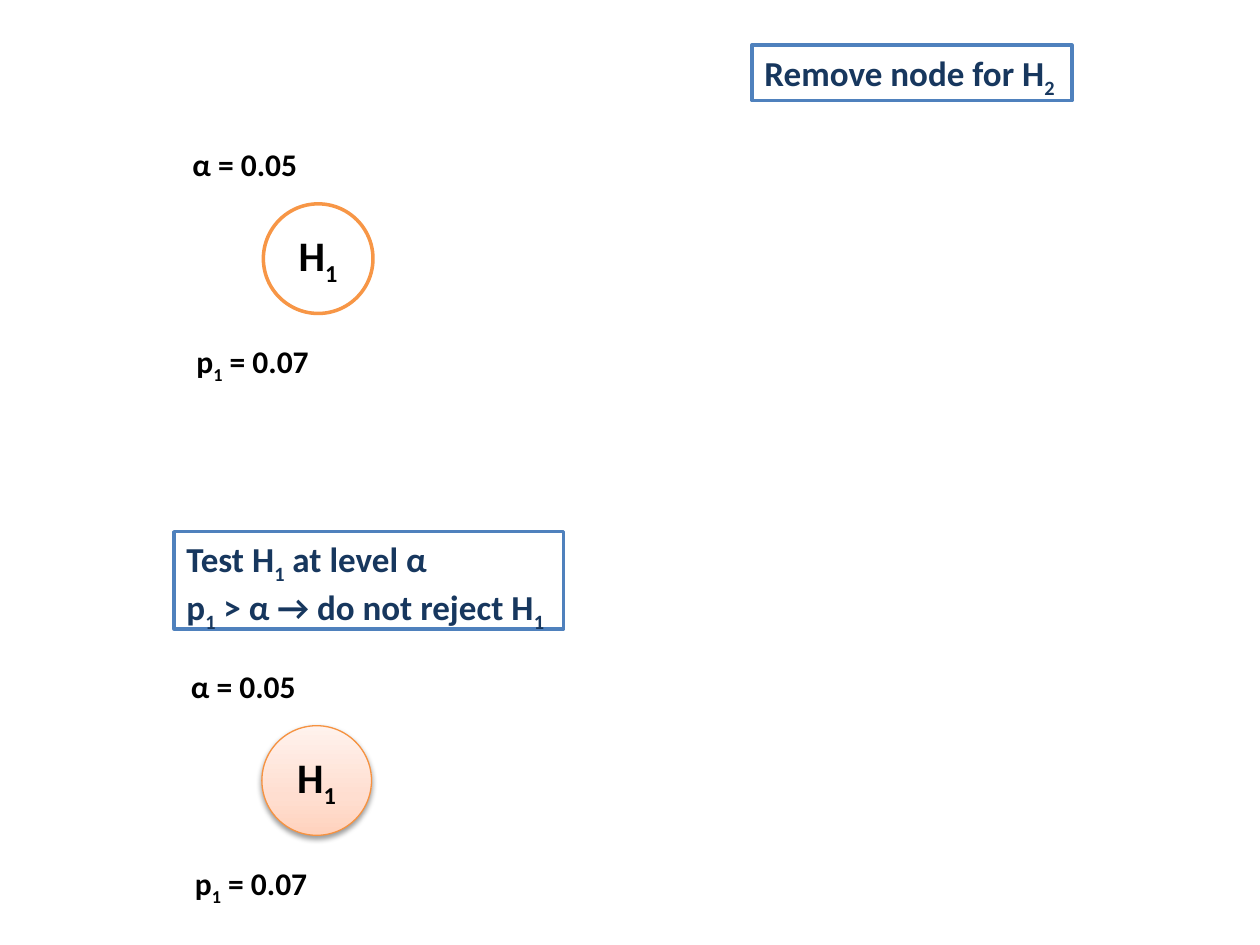
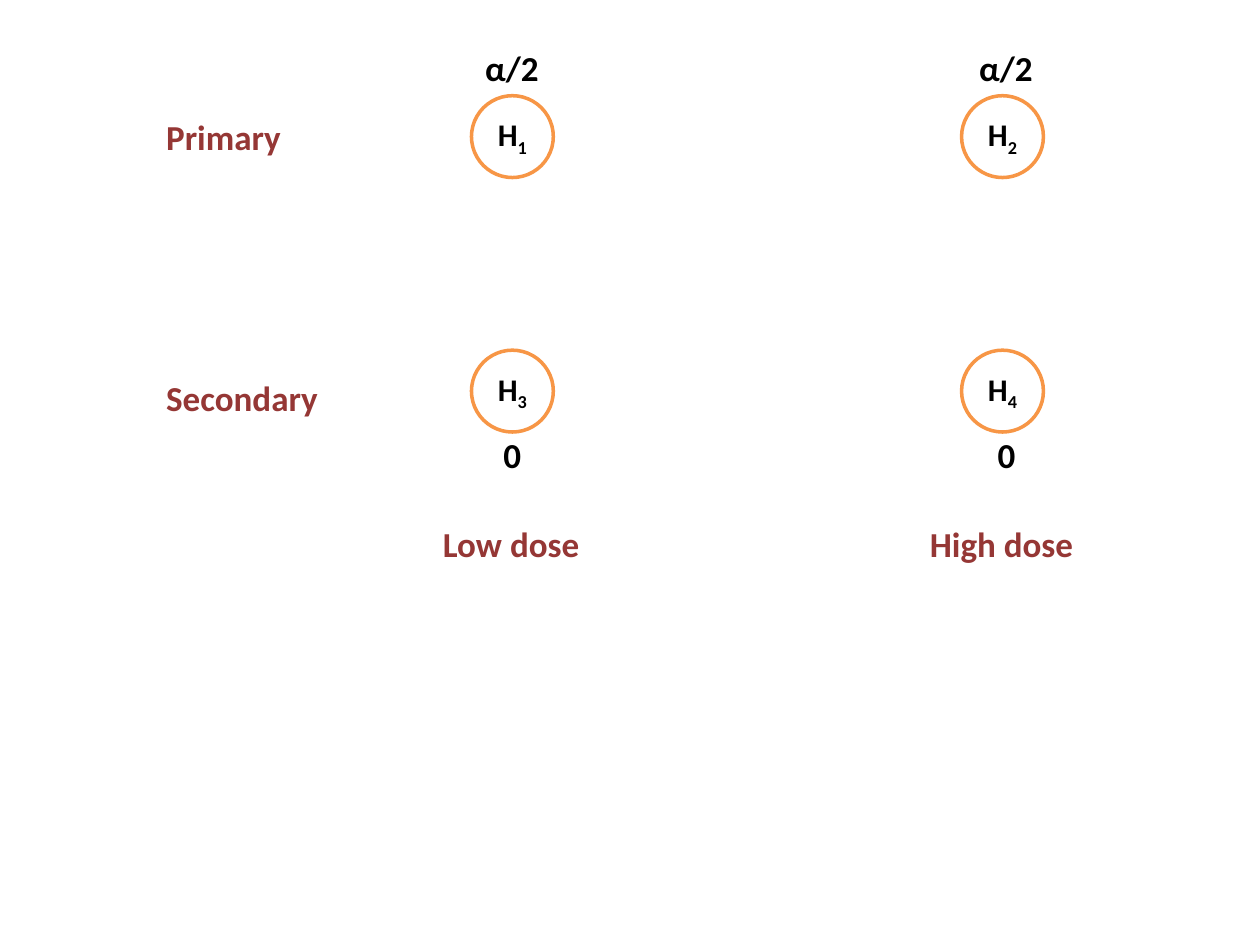
import pptx
import pptx.util
import pptx.dml.color
import pptx.enum.shapes
import pptx.enum.text
import pptx.oxml.ns
import lxml.etree

Cm, Pt = pptx.util.Cm, pptx.util.Pt
qn = pptx.oxml.ns.qn
SHAPE = pptx.enum.shapes.MSO_SHAPE
ALIGN = pptx.enum.text.PP_ALIGN
ANCHOR = pptx.enum.text.MSO_ANCHOR
FIT = pptx.enum.text.MSO_AUTO_SIZE.SHAPE_TO_FIT_TEXT

FONT = "Calibri"
BLACK, WHITE, NAVY, RED = "000000", "FFFFFF", "17375E", "953735"
ORANGE, RIM, BLUE = "F79646", "F69240", "4F81BD"
GLOW = [(0, "FFD2BD"), (35, "FFDED0"), (100, "FFF2ED")]
LINE_HEIGHT = {18: 1.02, 20: 1.12}

# An underscore puts the one character after it in subscript. Lengths in cm.
STEPS = [  # lines, box (left, top, width, height)
    (["Remove node for H_2"], (15.16, 0.91, 6.45, 1.12)),
    (["Test H_1 at level α", "p_1 > α → do not reject H_1"], (3.51, 10.72, 7.85, 1.96)),
]
TESTS = [(5.31, 4.11, False), (5.28, 14.63, True)]  # node left, top, glowing
TEST_LABELS = [  # text, offset from the node, width
    ("α = 0.05", -1.68, -1.31, 2.64),
    ("p_1 = 0.07", -1.6, 2.67, 2.84),
]
TEST_NODE = 2.21

ENDPOINTS = [  # name, label top, label width, node top, weight, weight top, weight width
    ("Primary", 2.21, 2.84, 1.93, "α/2", 0.81, 1.6),
    ("Secondary", 7.47, 3.61, 7.06, "0", 8.61, 0.86),
]
DOSES = [  # name, label width, node centre, weight centre
    ("Low dose", 3.3, 10.33, 10.33),
    ("High dose", 3.43, 20.21, 20.29),
]
ENDPOINT_LEFT, DOSE_TOP, DOSE_NODE = 3.1, 10.41, 1.65


def rgb(value):
    """Turn a hex string into a colour."""
    return pptx.dml.color.RGBColor.from_string(value)


def write(frame, lines, size, colour, align=ALIGN.LEFT):
    """Write bold lines run by run, with subscripts."""
    for number, line in enumerate(lines):
        paragraph = frame.add_paragraph() if number else frame.paragraphs[0]
        paragraph.alignment = align
        first, *rest = line.split("_")
        pieces = [(first, False)]
        for part in rest:
            pieces += [(part[0], True), (part[1:], False)]
        for text, lowered in pieces:
            if not text:
                continue
            run = paragraph.add_run()
            run.text = text
            run.font.name, run.font.size, run.font.bold = FONT, Pt(size), True
            run.font.color.rgb = rgb(colour)
            if lowered:
                run.font._element.set("baseline", "-25000")


def draw(slide, kind, place, border=None, weight=2):
    """Add a white shape without shadow, with an optional border."""
    shape = slide.shapes.add_shape(kind, *map(Cm, place))
    shape.shadow.inherit = False
    shape.fill.solid()
    shape.fill.fore_color.rgb = rgb(WHITE)
    if border:
        shape.line.color.rgb = rgb(border)
        shape.line.width = Pt(weight)
    else:
        shape.line.fill.background()
    return shape


def hug(frame):
    """Let a shape fit its unwrapped text."""
    frame.vertical_anchor = ANCHOR.TOP
    frame.word_wrap = False
    frame.auto_size = FIT


def box(slide, lines, place, colour, border=None):
    """Add a white rectangle with text."""
    frame = draw(slide, SHAPE.RECTANGLE, place, border).text_frame
    hug(frame)
    write(frame, lines, 20, colour)


def label(slide, text, left, top, width, size):
    """Add one line of plain black text."""
    place = (left, top, width, LINE_HEIGHT[size])
    frame = slide.shapes.add_textbox(*map(Cm, place)).text_frame
    hug(frame)
    write(frame, [text], size, BLACK)


def add_element(parent, tag, **attributes):
    """Append a drawing element with its attributes."""
    element = lxml.etree.SubElement(parent, qn(tag))
    for key, value in attributes.items():
        element.set(key, str(value))
    return element


def glow(shape):
    """Give a shape the upward gradient and a soft shadow below."""
    shape.fill.gradient()
    shape.fill.gradient_angle = 90
    properties = shape._element.spPr
    stops = properties.find(".//" + qn("a:gsLst"))
    for stop in list(stops):
        stops.remove(stop)
    for position, value in GLOW:
        stop = add_element(stops, "a:gs", pos=position * 1000)
        add_element(stop, "a:srgbClr", val=value)
    shadow = add_element(properties.find(qn("a:effectLst")), "a:outerShdw",
                         blurRad=int(Pt(3.1)), dist=int(Pt(1.6)),
                         dir=90 * 60000, rotWithShape=0)
    shade = add_element(shadow, "a:srgbClr", val=BLACK)
    add_element(shade, "a:alpha", val=38000)


def node(slide, text, left, top, diameter, size, glowing=False):
    """Add a round hypothesis node."""
    border, weight = (RIM, 0.75) if glowing else (ORANGE, 2)
    circle = draw(slide, SHAPE.OVAL, (left, top, diameter, diameter), border, weight)
    if glowing:
        glow(circle)
    circle.text_frame.vertical_anchor = ANCHOR.MIDDLE
    write(circle.text_frame, [text], size, BLACK, ALIGN.CENTER)


def build_test_slide(slide):
    """Show the remaining hypothesis before and after its test."""
    for left, top, glowing in TESTS:
        node(slide, "H_1", left, top, TEST_NODE, 24, glowing)
        for text, right, down, width in TEST_LABELS:
            label(slide, text, left + right, top + down, width, 18)
    for lines, place in STEPS:
        box(slide, lines, place, NAVY, BLUE)


def build_dose_slide(slide):
    """Show the grid of endpoints by doses."""
    height = LINE_HEIGHT[20]
    for name, width, centre, _ in DOSES:
        box(slide, [name], (centre - width / 2, DOSE_TOP, width, height), RED)
    for row, (name, top, width, node_top, share, share_top, share_width) in enumerate(ENDPOINTS):
        box(slide, [name], (ENDPOINT_LEFT, top, width, height), RED)
        for column, (_, _, centre, share_centre) in enumerate(DOSES):
            number = row * len(DOSES) + column + 1
            node(slide, f"H_{number}", centre - DOSE_NODE / 2, node_top, DOSE_NODE, 18)
            label(slide, share, share_centre - share_width / 2, share_top, share_width, 20)


deck = pptx.Presentation()
deck.slide_width, deck.slide_height = Cm(25.4), Cm(19.05)
for build in (build_test_slide, build_dose_slide):
    build(deck.slides.add_slide(deck.slide_layouts[6]))
deck.save("out.pptx")
